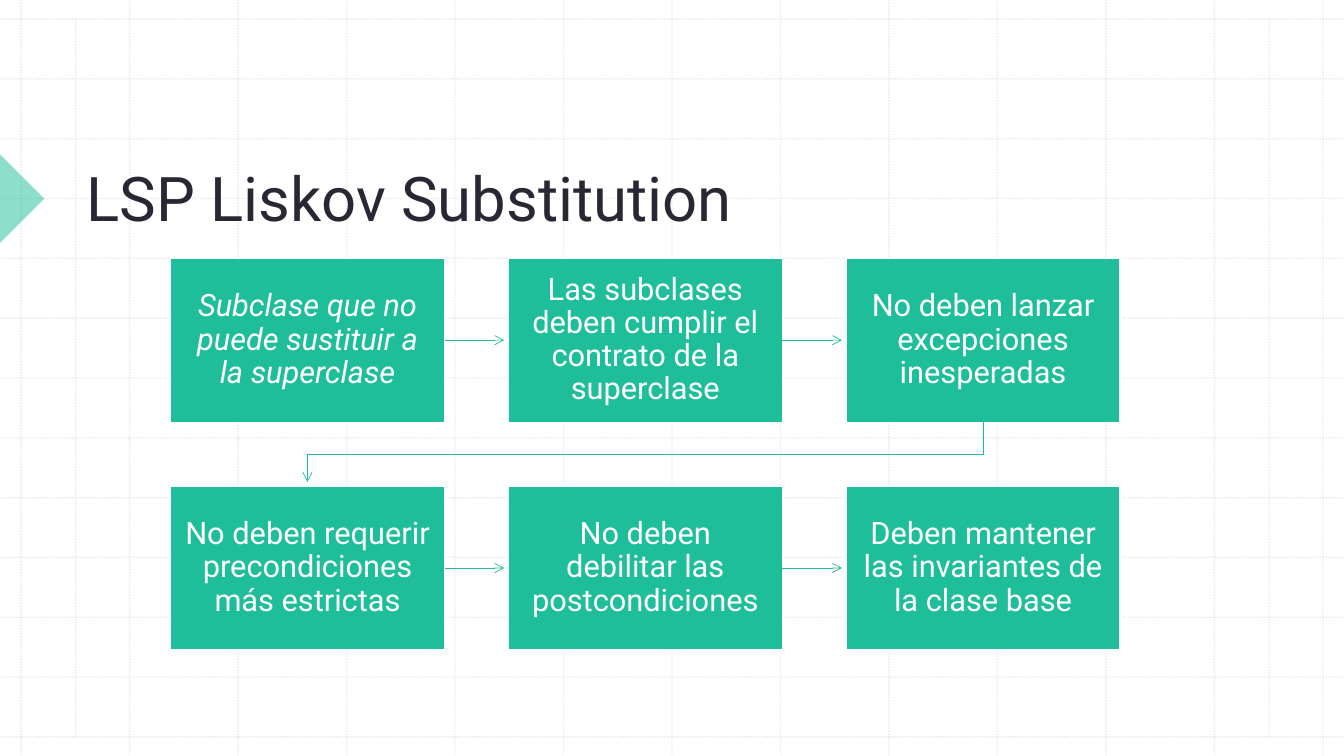
from lxml.etree import SubElement
from pptx import Presentation
from pptx.dml.color import RGBColor
from pptx.enum.dml import MSO_LINE
from pptx.enum.shapes import MSO_CONNECTOR, MSO_SHAPE
from pptx.enum.text import MSO_ANCHOR, MSO_AUTO_SIZE, PP_ALIGN
from pptx.oxml.ns import qn
from pptx.util import Inches, Pt

GREEN = RGBColor(0x1E, 0xBE, 0x9B)
WHITE = RGBColor(0xFF, 0xFF, 0xFF)
DARK = RGBColor(0x2A, 0x27, 0x35)
GRAY = RGBColor(0xBC, 0xBC, 0xBC)
FONT = "Roboto"

WIDTH, HEIGHT = 13.33, 7.5
GRID_LEFT, GRID_TOP, GRID_BOTTOM, GRID_CELLS = 0.21, 0.19, 7.31, 12
MARGINS = 0.75, 12.59
BOX_LEFT, BOX_TOP, BOX_W, BOX_H = 1.69, 2.56, 2.72, 1.63
COL_STEP, ROW_STEP, COLUMNS = 3.35, 2.26, 3
ARROW_GAP = 0.04

RULES = [
    "Subclase que no puede sustituir a la superclase",
    "Las subclases deben cumplir el contrato de la superclase",
    "No deben lanzar excepciones inesperadas",
    "No deben requerir precondiciones más estrictas",
    "No deben debilitar las postcondiciones",
    "Deben mantener las invariantes de la clase base",
]


def col(n):
    """Return the left edge of box column n in inches."""
    return BOX_LEFT + n * COL_STEP


def row(n):
    """Return the top edge of box row n in inches."""
    return BOX_TOP + n * ROW_STEP


def set_alpha(element, percent):
    """Set the opacity of the solid colour inside an element."""
    color = next(element.iter(qn("a:srgbClr")))
    SubElement(color, qn("a:alpha"), val=str(percent * 1000))


def add_line(s, x1, y1, x2, y2, color, width):
    """Add a straight line without a shadow."""
    line = s.shapes.add_connector(
        MSO_CONNECTOR.STRAIGHT, Inches(x1), Inches(y1), Inches(x2), Inches(y2))
    SubElement(line._element.spPr, qn("a:effectLst"))
    line.line.color.rgb = color
    line.line.width = Pt(width)
    return line


def add_arrowhead(line):
    """Put an open arrowhead at the end of a line format."""
    SubElement(line._get_or_add_ln(), qn("a:tailEnd"), type="arrow")


def add_grid(s):
    """Draw the dotted background grid."""
    x_step = (WIDTH - 2 * GRID_LEFT) / GRID_CELLS
    y_step = (GRID_BOTTOM - GRID_TOP) / GRID_CELLS
    ends = []
    for i in range(GRID_CELLS + 1):
        x, y = GRID_LEFT + i * x_step, GRID_TOP + i * y_step
        ends += [(x, 0, x, HEIGHT), (0, y, WIDTH, y)]
    ends += [(x, GRID_TOP, x, GRID_BOTTOM) for x in MARGINS]
    for end in ends:
        line = add_line(s, *end, GRAY, 1)
        line.line.dash_style = MSO_LINE.ROUND_DOT
        set_alpha(line._element.spPr, 30)


def add_marker(s):
    """Draw the translucent triangle at the left edge."""
    size = 0.62
    sp = s.shapes.add_shape(MSO_SHAPE.RIGHT_TRIANGLE, Inches(-size / 2),
                            Inches(1.66), Inches(size), Inches(size))
    sp.rotation = 225
    sp.shadow.inherit = False
    sp.fill.solid()
    sp.fill.fore_color.rgb = GREEN
    set_alpha(sp._element.spPr, 50)
    sp.line.fill.background()


def set_title(s, text):
    """Place and format the title above the grid."""
    sp = s.shapes.title
    sp.left, sp.top = Inches(0.76), Inches(0.79)
    sp.width, sp.height = Inches(11.29), Inches(1.58)
    tf = sp.text_frame
    tf.text = text
    tf.auto_size = MSO_AUTO_SIZE.NONE
    tf.vertical_anchor = MSO_ANCHOR.BOTTOM
    p = tf.paragraphs[0]
    p.alignment = PP_ALIGN.LEFT
    p.font.name, p.font.size, p.font.color.rgb = FONT, Pt(44), DARK
    sp._element.getparent().append(sp._element)


def add_box(s, index, text):
    """Add a rule box at its place in the grid."""
    r, c = divmod(index, COLUMNS)
    sp = s.shapes.add_shape(MSO_SHAPE.RECTANGLE, Inches(col(c)), Inches(row(r)),
                            Inches(BOX_W), Inches(BOX_H))
    sp.shadow.inherit = False
    sp.fill.solid()
    sp.fill.fore_color.rgb = GREEN
    sp.line.color.rgb = WHITE
    sp.line.width = Pt(1)
    tf = sp.text_frame
    tf.text = text
    tf.word_wrap = True
    tf.vertical_anchor = MSO_ANCHOR.MIDDLE
    tf.margin_left = tf.margin_right = Inches(0.13)
    tf.margin_top = tf.margin_bottom = Inches(0.14)
    p = tf.paragraphs[0]
    p.alignment = PP_ALIGN.CENTER
    p.line_spacing = 0.9
    p.font.name, p.font.size, p.font.color.rgb = FONT, Pt(22), WHITE
    p.font.italic = index == 0
    return sp


def add_arrow(s, index, box):
    """Add the arrow from a box to its right neighbour."""
    r, c = divmod(index, COLUMNS)
    y = row(r) + BOX_H / 2
    arrow = add_line(s, col(c) + BOX_W, y, col(c + 1) - ARROW_GAP, y, GREEN, 0.5)
    arrow.begin_connect(box, 3)
    add_arrowhead(arrow.line)


def add_row_turn(s):
    """Draw the bent arrow from the end of row one to the start of row two."""
    start, end = col(COLUMNS - 1) + BOX_W / 2, col(0) + BOX_W / 2
    top, bottom = row(0) + BOX_H, row(1) - ARROW_GAP
    middle = (row(0) + BOX_H + row(1)) / 2
    builder = s.shapes.build_freeform(Inches(start), Inches(top))
    builder.add_line_segments(
        [(Inches(x), Inches(y))
         for x, y in [(start, middle), (end, middle), (end, bottom)]], close=False)
    sp = builder.convert_to_shape()
    sp.shadow.inherit = False
    sp.fill.background()
    sp.line.color.rgb = GREEN
    sp.line.width = Pt(0.5)
    add_arrowhead(sp.line)


def main():
    """Build and save the slide."""
    prs = Presentation()
    prs.slide_width, prs.slide_height = Inches(WIDTH), Inches(HEIGHT)
    s = prs.slides.add_slide(prs.slide_layouts[5])
    add_grid(s)
    add_marker(s)
    set_title(s, "LSP Liskov Substitution")
    for index, text in enumerate(RULES):
        box = add_box(s, index, text)
        if index % COLUMNS < COLUMNS - 1:
            add_arrow(s, index, box)
    add_row_turn(s)
    prs.save("out.pptx")


if __name__ == "__main__":
    main()
